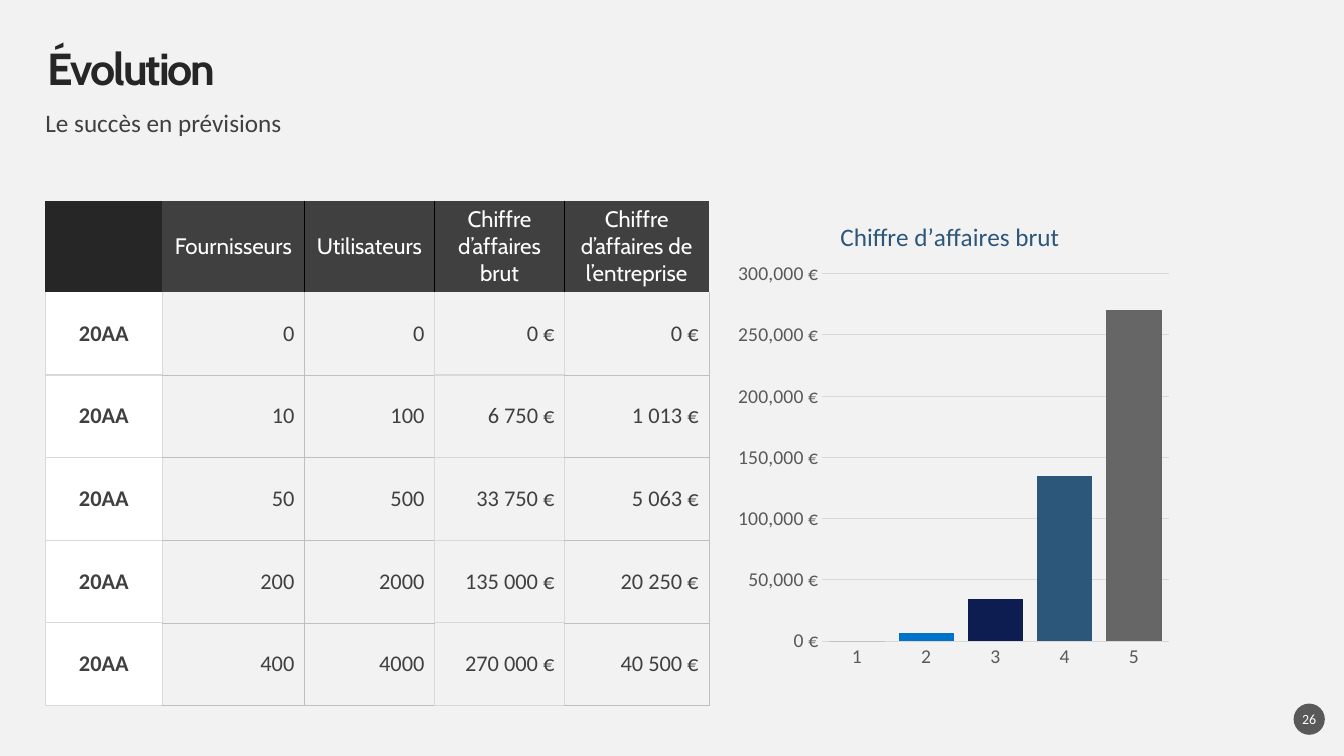
from dataclasses import dataclass

from lxml import etree
from pptx import Presentation, util as u
from pptx.chart import data
from pptx.dml import color
from pptx.enum import chart as ch, shapes, text
from pptx.oxml import ns


@dataclass(frozen=True)
class Theme:
    head: str = "Cabin"
    body: str = "Calibri"
    back: str = "F2F2F2"
    white: str = "FFFFFF"
    black: str = "000000"
    ink: str = "262626"
    dark: str = "404040"
    mid: str = "595959"
    rule: str = "D9D9D9"
    thin: str = "BFBFBF"
    blue: str = "2C567A"
    navy: str = "0D1D51"
    sky: str = "0072C7"
    gray: str = "666666"
    big: int = 32
    lead: int = 18
    cell: int = 16
    axis: int = 14
    small: int = 10


T = Theme()
LEFT, MID, RIGHT = text.PP_ALIGN.LEFT, text.PP_ALIGN.CENTER, text.PP_ALIGN.RIGHT
HEADS = ["", "Fournisseurs", "Utilisateurs", "Chiffre d’affaires brut",
         "Chiffre d’affaires de l’entreprise"]
ROWS = [
    ["20AA", "0", "0", "0 €", "0 €"],
    ["20AA", "10", "100", "6 750 €", "1 013 €"],
    ["20AA", "50", "500", "33 750 €", "5 063 €"],
    ["20AA", "200", "2000", "135 000 €", "20 250 €"],
    ["20AA", "400", "4000", "270 000 €", "40 500 €"],
]
WIDTHS = [1.16, 1.41, 1.29, 1.29, 1.43]
SALES = [0, 7000, 34000, 135000, 270000]
PLAIN = "{2D5ABB26-0587-4C30-8999-92F81FD0307C}"


def rgb(code):
    return color.RGBColor.from_string(code)


def paint(fill, code):
    fill.solid()
    fill.fore_color.rgb = rgb(code)


def style(font, face, size, code, bold=False):
    font.name, font.size, font.bold = face, u.Pt(size), bold
    font.color.rgb = rgb(code)


def write(frame, words, face, size, code, align=LEFT, bold=False):
    para = frame.paragraphs[0]
    para.alignment = align
    run = para.add_run()
    run.text = words
    style(run.font, face, size, code, bold)
    return para, run


def trim(frame, anchor):
    frame.margin_left = frame.margin_right = 0
    frame.margin_top = frame.margin_bottom = 0
    frame.vertical_anchor = anchor
    frame.auto_size = text.MSO_AUTO_SIZE.NONE


def place(item, left, top, width, height):
    item.left, item.top = u.Inches(left), u.Inches(top)
    item.width, item.height = u.Inches(width), u.Inches(height)


def add_heads(slide):
    title, lead = slide.placeholders
    place(title, 0.47, 0.47, 12.39, 0.47)
    trim(title.text_frame, text.MSO_ANCHOR.MIDDLE)
    para, run = write(title.text_frame, "Évolution", T.head, T.big, T.ink, bold=True)
    para.line_spacing = 0.9
    run._r.get_or_add_rPr().set("spc", "-150")

    place(lead, 0.45, 1.1, 11.09, 0.28)
    trim(lead.text_frame, text.MSO_ANCHOR.TOP)
    para, run = write(lead.text_frame, "Le succès en prévisions", T.body, T.lead, T.dark)
    para.line_spacing, para.space_before = 0.9, u.Pt(0)
    props = para._p.get_or_add_pPr()
    props.set("marL", "0")
    props.set("indent", "0")
    etree.SubElement(props, ns.qn("a:buNone"))


def add_badge(slide):
    dot = slide.shapes.add_shape(
        shapes.MSO_SHAPE.OVAL, *map(u.Inches, (12.83, 6.98, 0.31, 0.31)))
    dot.shadow.inherit = False
    paint(dot.fill, T.mid)
    dot.line.fill.background()
    trim(dot.text_frame, text.MSO_ANCHOR.MIDDLE)
    write(dot.text_frame, "26", T.body, T.small, T.white, MID)


def edge(cell, side, line):
    props = cell._tc.get_or_add_tcPr()
    node = etree.SubElement(props, ns.qn("a:ln" + side))
    if line is None:
        node.set("w", "0")
        etree.SubElement(node, ns.qn("a:noFill"))
        return
    code, size = line
    node.set("w", str(u.Pt(size)))
    fill = etree.SubElement(node, ns.qn("a:solidFill"))
    etree.SubElement(fill, ns.qn("a:srgbClr"), val=code)


def edges(row, col):
    soft, fine, black = (T.rule, 1), (T.thin, 0.25), (T.black, 1)
    if row == 0:
        walls = [None, None, black, black, black, None]
        return walls[col], walls[col + 1], None, None
    walls = [soft, soft, fine, soft, soft, fine]
    base = soft if col in (0, 3) else fine
    return walls[col], walls[col + 1], base if row > 1 else None, base


def add_grid(slide):
    size = len(ROWS) + 1, len(HEADS)
    frame = slide.shapes.add_table(*size, *map(u.Inches, (0.45, 1.99, 6.58, 5.01)))
    table = frame.table
    table.first_row = table.horz_banding = False
    table._tbl.tblPr.find(ns.qn("a:tableStyleId")).text = PLAIN
    for col, width in zip(table.columns, WIDTHS):
        col.width = u.Inches(width)
    for r, words in enumerate([HEADS] + ROWS):
        table.rows[r].height = u.Inches(0.82 if r else 0.91)
        for c, word in enumerate(words):
            cell = table.cell(r, c)
            cell.vertical_anchor = text.MSO_ANCHOR.MIDDLE
            for side, line in zip("LRTB", edges(r, c)):
                edge(cell, side, line)
            if r == 0:
                paint(cell.fill, T.dark if c else T.ink)
            else:
                paint(cell.fill, T.back if c else T.white)
            if word:
                write(cell.text_frame, word, T.body if r else T.head, T.cell,
                      T.dark if r else T.white, RIGHT if r and c else MID,
                      bold=r > 0 and c == 0)


def pin(node, index, inner=False, **spots):
    old = node.find(ns.qn("c:layout"))
    if old is not None:
        node.remove(old)
    box = etree.Element(ns.qn("c:layout"))
    node.insert(index, box)
    hand = etree.SubElement(box, ns.qn("c:manualLayout"))
    if inner:
        etree.SubElement(hand, ns.qn("c:layoutTarget"), val="inner")
    for key in "xy":
        etree.SubElement(hand, ns.qn(f"c:{key}Mode"), val="edge")
    for key, spot in spots.items():
        etree.SubElement(hand, ns.qn("c:" + key), val=str(spot))


def add_bars(slide):
    facts = data.CategoryChartData()
    facts.categories = [str(n + 1) for n in range(len(SALES))]
    facts.add_series("Series 1", SALES)
    chart = slide.shapes.add_chart(
        ch.XL_CHART_TYPE.COLUMN_CLUSTERED,
        *map(u.Inches, (7.22, 1.89, 4.46, 4.86)), facts).chart
    style(chart.font, T.body, T.small, T.black)
    chart.has_legend = False
    chart.has_title = True
    title = chart.chart_title
    write(title.text_frame, "Chiffre d’affaires brut", T.body, T.lead, T.blue, MID)
    pin(title._element, 1, x=0.24, y=0.05)
    pin(chart._chartSpace.chart.plotArea, 0, True, x=0.21, y=0.17, w=0.77, h=0.75)

    cats, vals = chart.category_axis, chart.value_axis
    for axis in (cats, vals):
        axis.major_tick_mark = axis.minor_tick_mark = ch.XL_TICK_MARK.NONE
        style(axis.tick_labels.font, T.body, T.axis, T.mid)
    vals.minimum_scale, vals.maximum_scale, vals.major_unit = 0, 300000, 50000
    vals.tick_labels.number_format = '#,##0\\ "€"'
    vals.tick_labels.number_format_is_linked = False
    vals.format.line.fill.background()
    for line in (cats.format.line, vals.major_gridlines.format.line):
        line.color.rgb, line.width = rgb(T.rule), u.Pt(0.75)

    plot = chart.plots[0]
    plot.gap_width, plot.vary_by_categories = 25, False
    bars = plot.series[0]
    paint(bars.format.fill, T.navy)
    for n, code in {1: T.sky, 3: T.blue, 4: T.gray}.items():
        paint(bars.points[n].format.fill, code)


def main():
    deck = Presentation()
    deck.slide_width, deck.slide_height = u.Inches(13.33), u.Inches(7.5)
    slide = deck.slides.add_slide(deck.slide_layouts[1])
    paint(slide.background.fill, T.back)
    add_heads(slide)
    add_badge(slide)
    add_grid(slide)
    add_bars(slide)
    deck.save("out.pptx")


if __name__ == "__main__":
    main()
